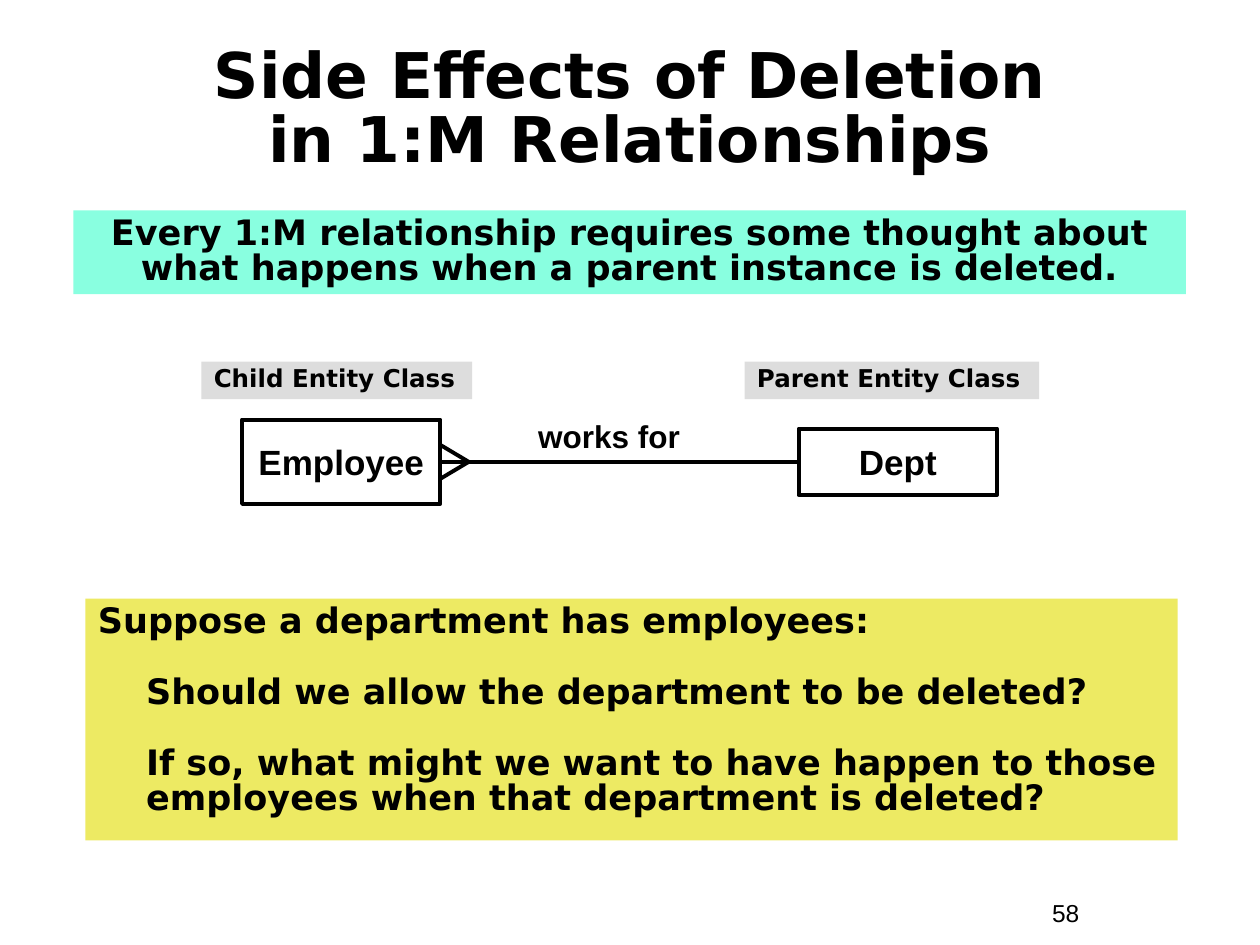
from dataclasses import dataclass

from lxml.etree import SubElement
from pptx import Presentation
from pptx.dml.color import RGBColor
from pptx.enum.shapes import MSO_CONNECTOR, MSO_SHAPE
from pptx.enum.text import MSO_ANCHOR, MSO_AUTO_SIZE, PP_ALIGN
from pptx.oxml.ns import qn
from pptx.util import Cm, Pt


@dataclass(frozen=True)
class Theme:
    """Colours, fonts and type sizes of the slide."""
    ink: RGBColor = RGBColor(0x00, 0x00, 0x00)
    banner: RGBColor = RGBColor(0x89, 0xFF, 0xE0)
    question: RGBColor = RGBColor(0xED, 0xEA, 0x63)
    label: RGBColor = RGBColor(0xDD, 0xDD, 0xDD)
    heading_font: str = "DejaVu Sans"
    diagram_font: str = "Arial"
    title_size: int = 36
    text_size: int = 20
    relation_size: int = 18
    small_size: int = 14
    line_width: float = 2.25
    tight: float = 0.85


@dataclass(frozen=True)
class Box:
    """A rectangle in centimetres."""
    left: float
    top: float
    width: float
    height: float

    def inner(self, left, top, width, height):
        """Return a box placed relative to this one."""
        return Box(self.left + left, self.top + top, width, height)

    def lengths(self):
        """Return left, top, width and height as slide lengths."""
        return Cm(self.left), Cm(self.top), Cm(self.width), Cm(self.height)


THEME = Theme()


def place(shape, box):
    """Move a placeholder into a box."""
    shape.left, shape.top, shape.width, shape.height = box.lengths()


def prepare_frame(shape, anchor=MSO_ANCHOR.TOP, wrap=True):
    """Set wrapping and anchoring and return the text frame."""
    frame = shape.text_frame
    frame.auto_size = MSO_AUTO_SIZE.NONE
    frame.word_wrap = wrap
    frame.vertical_anchor = anchor
    return frame


def write(para, text, size, font=THEME.heading_font, align=PP_ALIGN.LEFT,
          spacing=1.0, bold=True):
    """Fill a paragraph with text, one run for each line."""
    para.alignment = align
    para.line_spacing = spacing
    para.space_before = Pt(0)
    for number, line in enumerate(text.split("\n")):
        if number:
            para.add_line_break()
        span = para.add_run()
        span.text = line
        span.font.name = font
        span.font.size = Pt(size)
        span.font.bold = bold
        span.font.color.rgb = THEME.ink


def add_rectangle(page, box, fill=None):
    """Add a filled rectangle, or an outlined one when no fill is given."""
    shape = page.shapes.add_shape(MSO_SHAPE.RECTANGLE, *box.lengths())
    shape.shadow.inherit = False
    if fill is None:
        shape.fill.background()
        shape.line.color.rgb = THEME.ink
        shape.line.width = Pt(THEME.line_width)
    else:
        shape.fill.solid()
        shape.fill.fore_color.rgb = fill
        shape.line.fill.background()
    return shape


def add_line(page, start=(0, 0), end=(0, 0)):
    """Add a plain straight line between two points."""
    points = [Cm(value) for value in (*start, *end)]
    line = page.shapes.add_connector(MSO_CONNECTOR.STRAIGHT, *points)
    line.line.color.rgb = THEME.ink
    line.line.width = Pt(THEME.line_width)
    SubElement(line._element.spPr, qn("a:effectLst"))
    return line


def add_title(page, box):
    """Fill the title placeholder."""
    title = page.shapes.title
    place(title, box)
    frame = prepare_frame(title, MSO_ANCHOR.MIDDLE)
    write(frame.paragraphs[0], "Side Effects of Deletion\nin 1:M Relationships",
          THEME.title_size, align=PP_ALIGN.CENTER, spacing=THEME.tight)


def add_banner(page, box):
    """Add the highlighted statement under the title."""
    frame = prepare_frame(add_rectangle(page, box, THEME.banner))
    write(frame.paragraphs[0],
          "Every 1:M relationship requires some thought about "
          "what happens when a parent instance is deleted.",
          THEME.text_size, align=PP_ALIGN.CENTER, spacing=THEME.tight)


def add_label(page, box, text):
    """Add a grey caption above an entity."""
    frame = prepare_frame(add_rectangle(page, box, THEME.label))
    write(frame.paragraphs[0], text, THEME.small_size, spacing=THEME.tight)


def add_entity(page, box, name):
    """Add an outlined entity box."""
    shape = add_rectangle(page, box)
    frame = prepare_frame(shape, MSO_ANCHOR.MIDDLE, wrap=False)
    write(frame.paragraphs[0], name, THEME.text_size, THEME.diagram_font,
          PP_ALIGN.CENTER)
    return shape


def add_diagram(page, box):
    """Add the two entities, their captions and the relationship."""
    child_box = box.inner(0.82, 1.17, 4, 1.7)
    parent_box = box.inner(12.04, 1.35, 4, 1.34)
    child = add_entity(page, child_box, "Employee")
    parent = add_entity(page, parent_box, "Dept")

    side = child_box.left + child_box.width
    middle = child_box.top + child_box.height / 2
    for spread in (-0.34, 0.34):
        add_line(page, (side + 0.57, middle), (side, middle + spread))
    relation = add_line(page)
    relation.begin_connect(parent, 1)
    relation.end_connect(child, 3)

    name = page.shapes.add_textbox(*box.inner(6.1, 0.99, 4.24, 1.02).lengths())
    write(prepare_frame(name).paragraphs[0], "works for", THEME.relation_size,
          THEME.diagram_font, PP_ALIGN.CENTER)
    add_label(page, box.inner(0, 0, 5.46, 0.76), "Child Entity Class")
    add_label(page, box.inner(10.95, 0, 5.94, 0.76), "Parent Entity Class")


def add_questions(page, box):
    """Fill the body placeholder with the scenario and its questions."""
    body = page.placeholders[1]
    place(body, box)
    body.fill.solid()
    body.fill.fore_color.rgb = THEME.question
    frame = prepare_frame(body)
    lines = (
        "Suppose a department has employees:",
        "Should we allow the department to be deleted?",
        "If so, what might we want to have happen to those "
        "employees when that department is deleted?",
    )
    for number, text in enumerate(lines):
        para = frame.add_paragraph() if number else frame.paragraphs[0]
        properties = para._p.get_or_add_pPr()
        properties.set("marL", str(Cm(0.97) if number else 0))
        properties.set("indent", "0")
        SubElement(properties, qn("a:buNone"))
        write(para, text, THEME.text_size, spacing=THEME.tight)
        if number:
            para.space_before = Pt(20)


def add_page_number(page, box):
    """Add the page number."""
    frame = prepare_frame(page.shapes.add_textbox(*box.lengths()))
    write(frame.paragraphs[0], "58", THEME.small_size, THEME.diagram_font,
          bold=False)


def main():
    """Build the slide and save it."""
    deck = Presentation()
    deck.slide_width, deck.slide_height = Cm(25.4), Cm(19.05)
    page = deck.slides.add_slide(deck.slide_layouts[1])
    add_title(page, Box(0.84, 1.07, 23.72, 2.34))
    add_questions(page, Box(1.72, 12.07, 22.02, 4.87))
    add_diagram(page, Box(4.06, 7.29, 16.89, 2.87))
    add_banner(page, Box(1.48, 4.24, 22.43, 1.69))
    add_page_number(page, Box(20.96, 17.98, 2.34, 0.86))
    deck.save("out.pptx")


if __name__ == "__main__":
    main()
